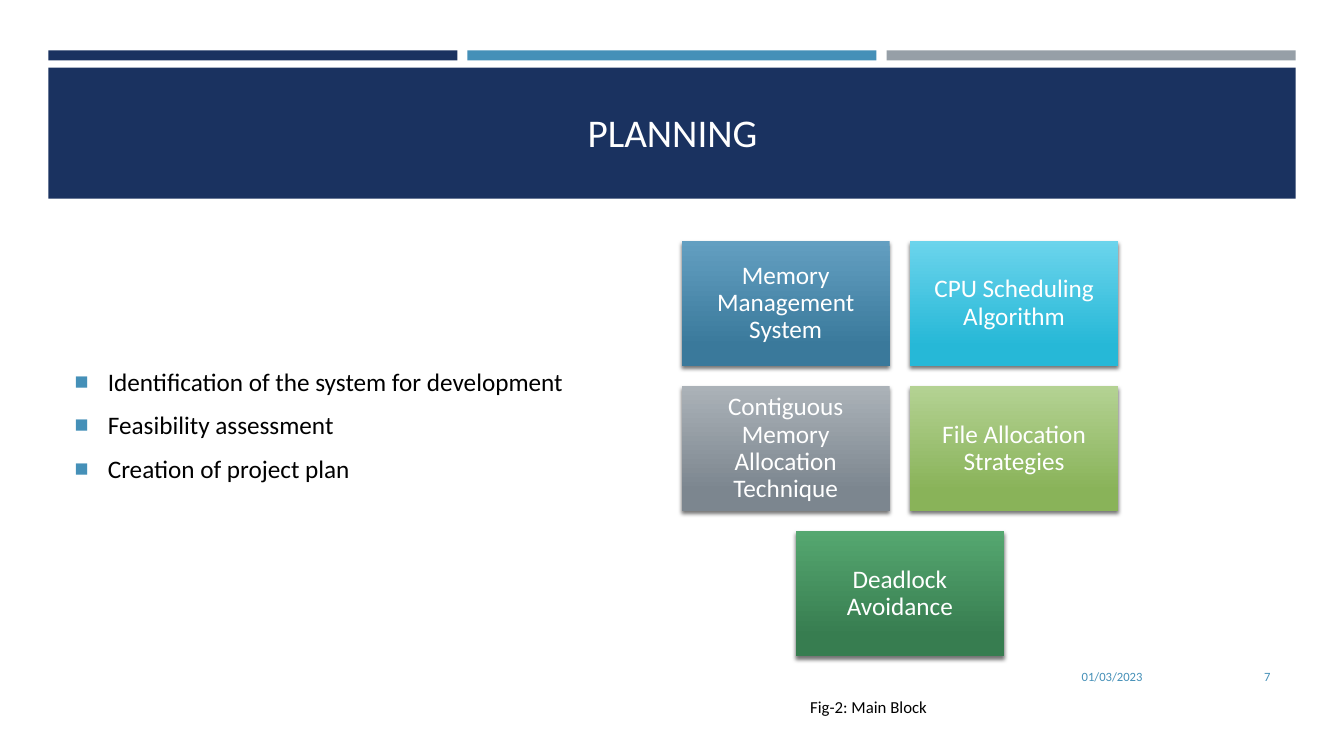
import pptx
import pptx.dml.color
import pptx.enum.shapes
import pptx.enum.text
import pptx.oxml
import pptx.oxml.ns
import pptx.util

Inches = pptx.util.Inches
Pt = pptx.util.Pt
RGBColor = pptx.dml.color.RGBColor
PP_ALIGN = pptx.enum.text.PP_ALIGN
MSO_ANCHOR = pptx.enum.text.MSO_ANCHOR
RECTANGLE = pptx.enum.shapes.MSO_SHAPE.RECTANGLE

NAVY = RGBColor(0x1A, 0x32, 0x60)
BLUE = RGBColor(0x45, 0x90, 0xB8)
GRAY = RGBColor(0x96, 0x9F, 0xA7)
WHITE = RGBColor(0xFF, 0xFF, 0xFF)
BLACK = RGBColor(0x00, 0x00, 0x00)

STEPS = [
    "Identification of the system for development",
    "Feasibility assessment",
    "Creation of project plan",
]
# Module name, gradient start, gradient end
MODULES = [
    ("Memory Management System", RGBColor(0x63, 0x9F, 0xC1), RGBColor(0x3A, 0x79, 0x9B)),
    ("CPU Scheduling Algorithm", RGBColor(0x6B, 0xD4, 0xEC), RGBColor(0x26, 0xB8, 0xD7)),
    ("Contiguous Memory Allocation Technique", RGBColor(0xAB, 0xB2, 0xB8), RGBColor(0x7C, 0x86, 0x8F)),
    ("File Allocation Strategies", RGBColor(0xB4, 0xD2, 0x93), RGBColor(0x89, 0xB3, 0x59)),
    ("Deadlock Avoidance", RGBColor(0x55, 0xA7, 0x70), RGBColor(0x37, 0x7D, 0x50)),
]


def apply_format(target, values):
    for name, value in values.items():
        setattr(target, name, value)


def place(shape, box):
    sides = ("left", "top", "width", "height")
    apply_format(shape, dict(zip(sides, map(Inches, box))))


def write(paragraph, text, size, color, **paragraph_format):
    run = paragraph.add_run()
    run.text = text
    apply_format(run.font, {"name": "Calibri", "size": Pt(size), "bold": False})
    run.font.color.rgb = color
    apply_format(paragraph, paragraph_format)


def add_block(slide, box):
    """Add a plain rectangle without outline or shadow."""
    block = slide.shapes.add_shape(RECTANGLE, *map(Inches, box))
    block.shadow.inherit = False
    block.line.fill.background()
    return block


def add_label(slide, box, text, size, color, align, anchor):
    label = slide.shapes.add_textbox(*map(Inches, box))
    apply_format(label.text_frame, {"word_wrap": True, "vertical_anchor": anchor})
    write(label.text_frame.paragraphs[0], text, size, color, alignment=align)


def add_header(slide, box):
    left, top, width, height = box
    gap, stripe_height, banner_offset = 0.1, 0.1, 0.17
    stripe_width = (width - 2 * gap) / 3
    for column, color in enumerate((NAVY, BLUE, GRAY)):
        stripe_left = left + column * (stripe_width + gap)
        stripe = add_block(slide, (stripe_left, top, stripe_width, stripe_height))
        stripe.fill.solid()
        stripe.fill.fore_color.rgb = color
    banner = add_block(slide, (left, top + banner_offset, width, height - banner_offset))
    banner.fill.solid()
    banner.fill.fore_color.rgb = NAVY

    title = slide.shapes.title
    place(title, (left + 0.16, top + 0.43, width - 0.31, 1.11))
    apply_format(title.text_frame, {
        "word_wrap": True,
        "vertical_anchor": MSO_ANCHOR.BOTTOM,
        "margin_bottom": Inches(0.5),
    })
    write(title.text_frame.paragraphs[0], "PLANNING", 28, WHITE, alignment=PP_ALIGN.CENTER)
    slide.shapes._spTree.append(title._element)  # bring the title in front of the banner


def add_square_bullet(paragraph):
    properties = paragraph._p.get_or_add_pPr()
    indent = Inches(0.33)
    properties.set("marL", str(indent))
    properties.set("indent", str(-indent))
    namespace = pptx.oxml.ns.nsdecls("a")
    for markup in (
        f'<a:buClr {namespace}><a:srgbClr val="{BLUE}"/></a:buClr>',
        f'<a:buSzPct {namespace} val="92000"/>',
        f'<a:buFont {namespace} typeface="Arial"/>',
        f'<a:buChar {namespace} char="■"/>',
    ):
        properties.append(pptx.oxml.parse_xml(markup))


def add_steps(slide, box):
    body = slide.placeholders[1]
    place(body, box)
    frame = body.text_frame
    apply_format(frame, {
        "word_wrap": True,
        "vertical_anchor": MSO_ANCHOR.MIDDLE,
        "margin_bottom": Inches(0.4),
    })
    for number, step in enumerate(STEPS):
        paragraph = frame.add_paragraph() if number else frame.paragraphs[0]
        write(paragraph, step, 18, BLACK, alignment=PP_ALIGN.LEFT,
              space_before=Pt(3.6), space_after=Pt(6))
        add_square_bullet(paragraph)


def add_soft_shadow(shape):
    effects = shape._element.spPr.find(pptx.oxml.ns.qn("a:effectLst"))
    effects.append(pptx.oxml.parse_xml(
        f'<a:outerShdw {pptx.oxml.ns.nsdecls("a")} blurRad="{Pt(3)}" dist="{Pt(2)}" '
        'dir="5400000" rotWithShape="0"><a:srgbClr val="000000">'
        '<a:alpha val="55000"/></a:srgbClr></a:outerShdw>'))


def add_module(slide, box, name, start_color, end_color):
    module = add_block(slide, box)
    module.fill.gradient()
    module.fill.gradient_angle = 270
    colors = ((0, start_color), (0.84, end_color))
    for stop, (position, color) in zip(module.fill.gradient_stops, colors):
        stop.position = position
        stop.color.rgb = color
    add_soft_shadow(module)
    sides = ("left", "top", "right", "bottom")
    apply_format(module.text_frame, {f"margin_{side}": Inches(0.07) for side in sides})
    apply_format(module.text_frame, {"word_wrap": True, "vertical_anchor": MSO_ANCHOR.MIDDLE})
    write(module.text_frame.paragraphs[0], name, 18, WHITE,
          alignment=PP_ALIGN.CENTER, line_spacing=0.9)


def add_module_grid(slide, box):
    """Lay the modules out in rows of two, centring a shorter last row."""
    left, top, width, height = box
    columns, gap = 2, 0.2
    rows = -(-len(MODULES) // columns)
    module_width = (width - (columns - 1) * gap) / columns
    module_height = (height - (rows - 1) * gap) / rows
    for row in range(rows):
        members = MODULES[row * columns:(row + 1) * columns]
        row_width = len(members) * (module_width + gap) - gap
        row_left = left + (width - row_width) / 2
        for column, module in enumerate(members):
            module_box = (row_left + column * (module_width + gap),
                          top + row * (module_height + gap), module_width, module_height)
            add_module(slide, module_box, *module)


def add_footer(slide, box):
    left, top, width, height = box
    number_width = 1.15
    for label_box, text in (
        ((left, top, 3.11, height), "01/03/2023"),
        ((left + width - number_width, top, number_width, height), "7"),
    ):
        add_label(slide, label_box, text, 9, BLUE, PP_ALIGN.RIGHT, MSO_ANCHOR.MIDDLE)


def main():
    deck = pptx.Presentation()
    apply_format(deck, {"slide_width": Inches(13.33), "slide_height": Inches(7.5)})
    slide = deck.slides.add_slide(deck.slide_layouts[1])
    add_header(slide, (0.48, 0.5, 12.37, 1.47))
    add_steps(slide, (0.64, 2.38, 5.98, 4.02))
    add_module_grid(slide, (6.76, 2.39, 4.33, 4.12))
    add_footer(slide, (8.32, 6.51, 4.38, 0.4))
    add_label(slide, (7.36, 6.86, 2.51, 0.3), "Fig-2: Main Block", 12, BLACK,
              PP_ALIGN.CENTER, MSO_ANCHOR.TOP)
    deck.save("out.pptx")


if __name__ == "__main__":
    main()
